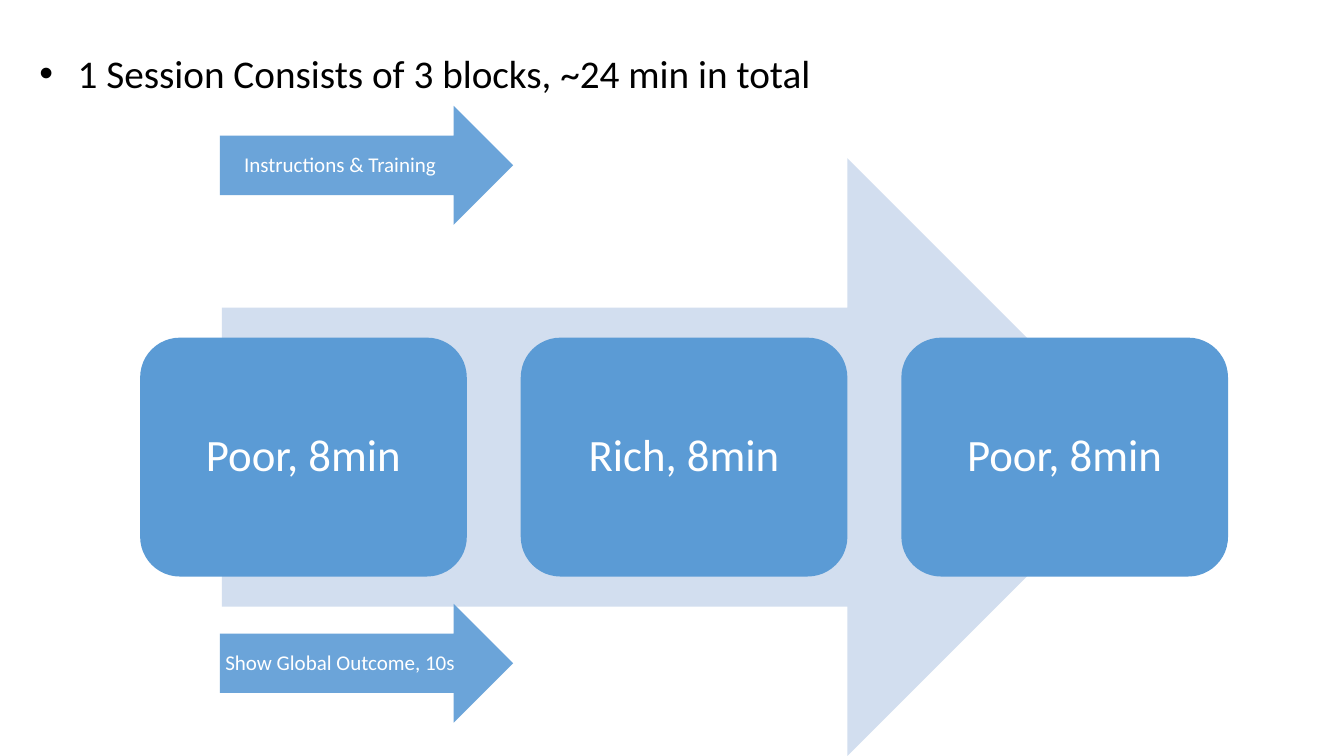
from dataclasses import dataclass

from lxml import etree
from pptx import Presentation
from pptx.dml.color import RGBColor
from pptx.enum import shapes, text
from pptx.oxml import ns
from pptx.util import Inches, Pt


@dataclass(frozen=True)
class Theme:
    font: str = "Calibri"
    ink: str = "000000"
    light: str = "FFFFFF"
    blue: str = "5B9BD5"
    pale: str = "D2DEEF"
    lead: int = 28
    block: int = 32
    step: int = 15


THEME = Theme()
ARROW = shapes.MSO_SHAPE.RIGHT_ARROW
ROUND = shapes.MSO_SHAPE.ROUNDED_RECTANGLE


def add_run(para, words, size, color):
    run = para.add_run()
    run.text = words
    run.font.name = THEME.font
    run.font.size = Pt(size)
    run.font.color.rgb = RGBColor.from_string(color)


def add_form(slide, kind, box, color):
    form = slide.shapes.add_shape(kind, *map(Inches, box))
    form.shadow.inherit = False
    form.fill.solid()
    form.fill.fore_color.rgb = RGBColor.from_string(color)
    form.line.fill.background()
    return form


def add_label(form, words, size, pads):
    frame = form.text_frame
    frame.word_wrap = True
    frame.vertical_anchor = text.MSO_ANCHOR.MIDDLE
    left, top, right, bottom = map(Inches, pads)
    frame.margin_left, frame.margin_right = left, right
    frame.margin_top, frame.margin_bottom = top, bottom
    para = frame.paragraphs[0]
    para.alignment = text.PP_ALIGN.CENTER
    para.line_spacing = 0.9
    add_run(para, words, size, THEME.light)


def add_lead(slide, words):
    title = slide.shapes.title
    title.element.getparent().remove(title.element)
    body = slide.placeholders[1]
    body.left, body.top = Inches(0.29), Inches(0.44)
    body.width, body.height = Inches(12.44), Inches(0.57)
    frame = body.text_frame
    frame.word_wrap = True
    frame.auto_size = text.MSO_AUTO_SIZE.SHAPE_TO_FIT_TEXT
    para = frame.paragraphs[0]
    para.space_before = Pt(0)
    props = para._p.get_or_add_pPr()
    props.set("marL", str(Inches(0.38)))
    props.set("indent", str(-Inches(0.38)))
    face = etree.SubElement(props, ns.qn("a:buFont"))
    face.set("typeface", "Arial")
    mark = etree.SubElement(props, ns.qn("a:buChar"))
    mark.set("char", "•")
    add_run(para, words, THEME.lead, THEME.ink)


def add_block(slide, index, words):
    box = (1.39 + index * 3.775, 3.35, 3.24, 2.37)
    form = add_form(slide, ROUND, box, THEME.blue)
    add_label(form, words, THEME.block, (0.13, 0.13, 0.13, 0.13))


def add_step(slide, top, words):
    form = add_form(slide, ARROW, (2.18, top, 2.91, 1.18), THEME.blue)
    color = form.fill._xPr.find(".//" + ns.qn("a:srgbClr"))
    etree.SubElement(color, ns.qn("a:alpha")).set("val", "90000")
    add_label(form, words, THEME.step, (0, 0.17, 0.23, 0.17))


def main():
    deck = Presentation()
    deck.slide_width, deck.slide_height = Inches(13.33), Inches(7.5)
    slide = deck.slides.add_slide(deck.slide_layouts[1])
    add_lead(slide, "1 Session Consists of 3 blocks, ~24 min in total")
    add_form(slide, ARROW, (2.2, 1.57, 9.17, 5.93), THEME.pale)
    for index, mood in enumerate(("Poor", "Rich", "Poor")):
        add_block(slide, index, f"{mood}, 8min")
    add_step(slide, 1.05, "Instructions & Training")
    add_step(slide, 5.99, "Show Global Outcome, 10s")
    deck.save("out.pptx")


if __name__ == "__main__":
    main()
